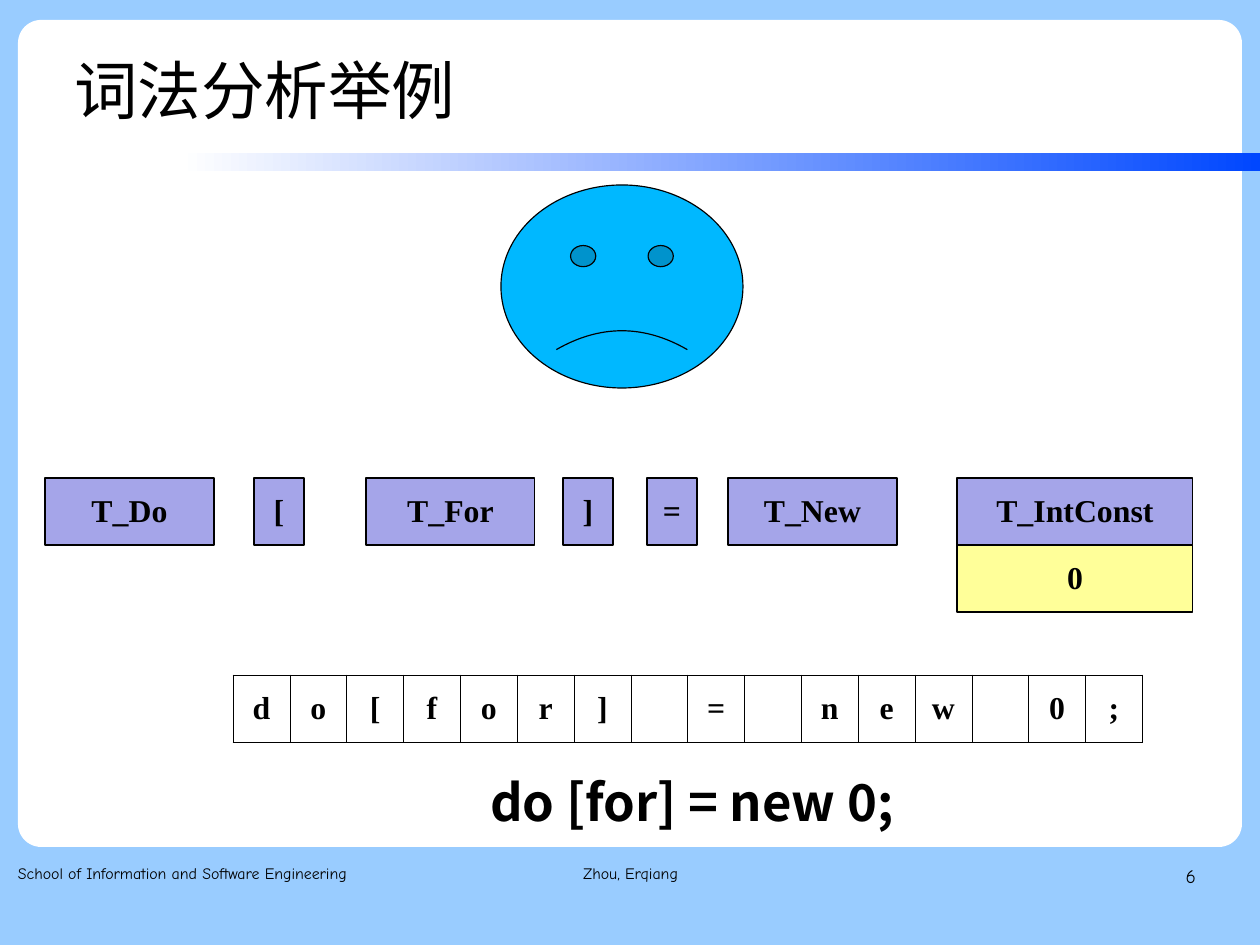
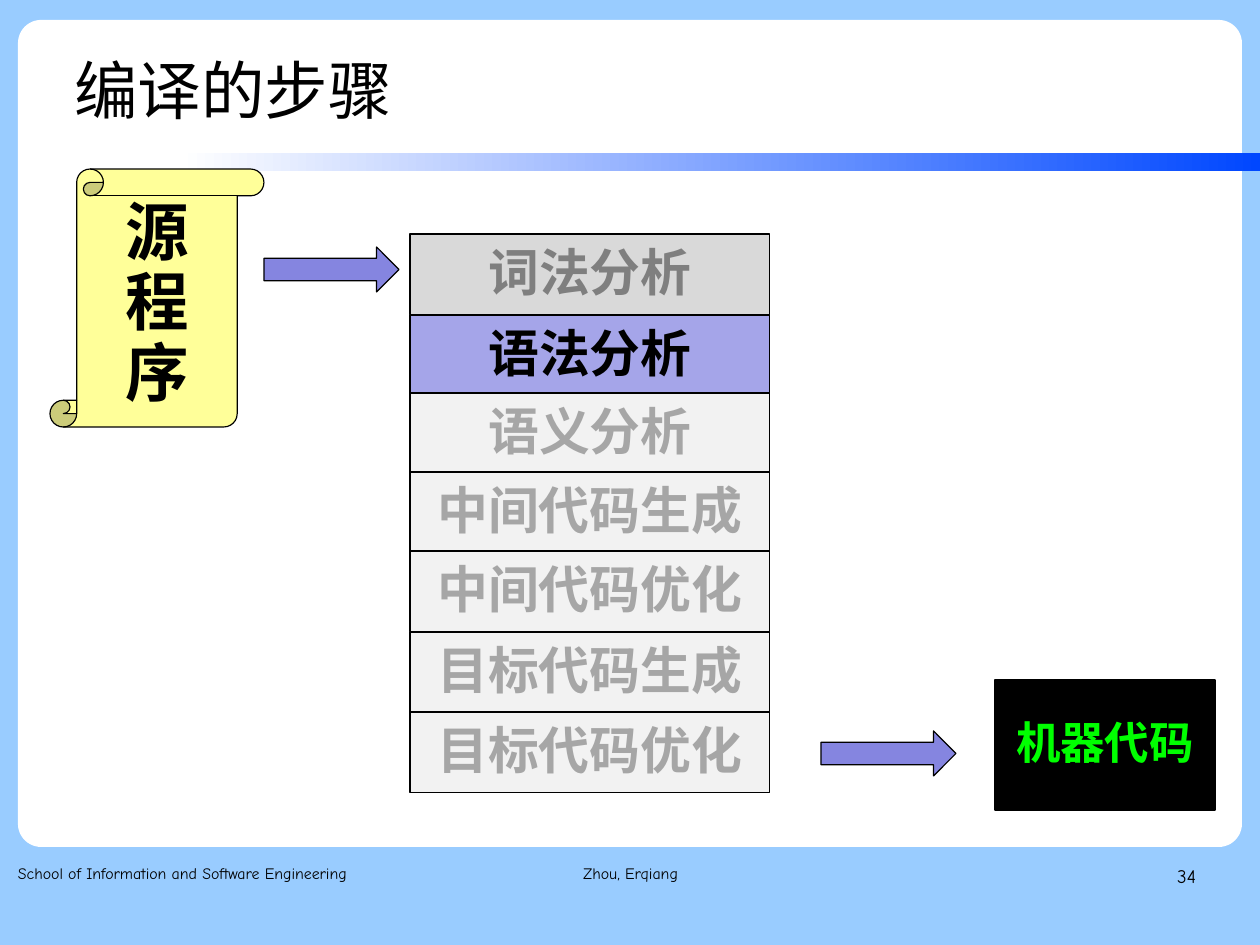
from lxml import etree
from pptx import Presentation, util as u
from pptx.dml.color import RGBColor
from pptx.enum import shapes, text
from pptx.oxml.ns import qn

PX = 8000  # EMU in one px
W, H = 1260, 945
COLOURS = {
    "sky": "99CCFF", "white": "FFFFFF", "black": "000000", "band": "0047FF",
    "lilac": "A5A5E9", "arrow": "8585E0", "yellow": "FFFF99", "face": "00B8FF",
    "done": "D9D9D9", "done_text": "7F7F7F",
    "todo": "F2F2F2", "todo_text": "A6A6A6", "green": "00FF00",
}
CJK, SERIF, HAND = "Noto Sans CJK SC", "Times New Roman", "Comic Neue"
SHAPE, ALIGN, ANCHOR = shapes.MSO_SHAPE, text.PP_ALIGN, text.MSO_ANCHOR


def rgb(name):
    return RGBColor.from_string(COLOURS[name])


def px(*lengths):
    return [u.Emu(n * PX) for n in lengths]


# Text and shape helpers
def format_paragraph(p, size, font, colour="black", bold=False,
                     align=ALIGN.CENTER, spacing=0.93):
    p.alignment, p.line_spacing = align, spacing
    p.font.size, p.font.bold = u.Pt(size), bold
    p.font.color.rgb = rgb(colour)
    p.font.name = font
    def_rpr = p._p.get_or_add_pPr().find(qn("a:defRPr"))
    etree.SubElement(def_rpr, qn("a:ea")).set("typeface", font)


def write(tf, content, size, font, **style):
    tf.text = content
    for p in tf.paragraphs:
        format_paragraph(p, size, font, **style)


def add_shape(slide, kind, box, fill, line="black", adj=()):
    sp = slide.shapes.add_shape(kind, *px(*box))
    sp.shadow.inherit = False
    for i, value in enumerate(adj):
        sp.adjustments[i] = value
    sp.fill.solid()
    sp.fill.fore_color.rgb = rgb(fill)
    if line:
        sp.line.color.rgb = rgb(line)
        sp.line.width = u.Pt(0.75)
    else:
        sp.line.fill.background()
    return sp


def add_label(slide, box, content, fill, size=20, font=SERIF, colour="black",
              kind=SHAPE.RECTANGLE, adj=()):
    sp = add_shape(slide, kind, box, fill, adj=adj)
    tf = sp.text_frame
    tf.word_wrap, tf.vertical_anchor = True, ANCHOR.MIDDLE
    write(tf, content, size, font, colour=colour, bold=True)


def add_text(slide, box, content, size, font, inset=True, **style):
    tf = slide.shapes.add_textbox(*px(*box)).text_frame
    tf.word_wrap = True
    if not inset:
        tf.margin_left = tf.margin_right = tf.margin_top = tf.margin_bottom = 0
    write(tf, content, size, font, **style)


# Shared look: background, white panel and gradient band on the master
def dress_master(prs, slide):
    master = prs.slide_master
    master.background.fill.solid()
    master.background.fill.fore_color.rgb = rgb("sky")
    panel = add_shape(slide, SHAPE.ROUNDED_RECTANGLE, (18, 20, 1224, 827),
                      "white", None, adj=[0.028])
    band = add_shape(slide, SHAPE.RECTANGLE, (180, 153, 1080, 18), "white", None)
    band.fill.gradient()
    band.fill.gradient_angle = 0
    for stop, colour, position in zip(band.fill.gradient_stops,
                                      ("white", "band"), (0, 1)):
        stop.color.rgb, stop.position = rgb(colour), position
    for i, sp in enumerate((panel, band)):
        sp.element.nvSpPr.cNvPr.set("id", str(100 + i))
        master.shapes.element.insert(2 + i, sp.element)


def new_slide(prs, title, number):
    slide = prs.slides.add_slide(prs.slide_layouts[5])
    sp = slide.shapes.title
    sp.left, sp.top, sp.width, sp.height = px(63, 38, 981, 115)
    tf = sp.text_frame
    tf.auto_size, tf.vertical_anchor = text.MSO_AUTO_SIZE.NONE, ANCHOR.TOP
    write(tf, title, 40, CJK, align=ALIGN.LEFT, spacing=1.1)
    footers = [
        (18, 386, "School of Information and Software Engineering", 10, ALIGN.LEFT),
        (431, 399, "Zhou, Erqiang", 10, ALIGN.CENTER),
        (903, 293, str(number), 12, ALIGN.RIGHT),
    ]
    for x, w, content, size, align in footers:
        add_text(slide, (x, 861, w, 65), content, size, HAND, inset=False,
                 align=align, spacing=1.16)
    return slide


# Row of tokens, the last one with its value below
def add_tokens(slide, x, y, h):
    tokens = [(0, 169, "T_Do"), (209, 50, "["), (321, 169, "T_For"),
              (518, 50, "]"), (602, 50, "="), (683, 169, "T_New"),
              (912, 236, "T_IntConst")]
    for dx, w, name in tokens:
        add_label(slide, (x + dx, y, w, h), name, "lilac")
    add_label(slide, (x + dx, y + h, w, h), "0", "yellow")


# One cell for each character of the source line
def add_characters(slide, box, characters):
    count = len(characters)
    table = slide.shapes.add_table(1, count, *px(*box)).table
    table.first_row = table.horz_banding = False
    for i, char in enumerate(characters):
        table.columns[i].width = u.Emu(box[2] * PX // count)
        cell = table.cell(0, i)
        cell.vertical_anchor = ANCHOR.MIDDLE
        tc_pr = cell._tc.get_or_add_tcPr()
        for side in ("lnL", "lnR", "lnT", "lnB"):
            ln = etree.SubElement(tc_pr, qn("a:" + side), w=str(u.Pt(0.45)))
            fill = etree.SubElement(ln, qn("a:solidFill"))
            etree.SubElement(fill, qn("a:srgbClr"), val=COLOURS["black"])
        cell.fill.solid()
        cell.fill.fore_color.rgb = rgb("white")
        if char != " ":
            write(cell.text_frame, char, 20, SERIF, bold=True, spacing=1.0)


# Stack of compiler steps
def add_steps(slide, x, y, w, h):
    todo = ("todo", "todo_text")
    steps = [(0, "词法分析", "done", "done_text"), (81, "语法分析", "lilac", "black"),
             (159, "语义分析", *todo), (238, "中间代码生成", *todo),
             (317, "中间代码优化", *todo), (398, "目标代码生成", *todo),
             (478, "目标代码优化", *todo)]
    for dy, name, fill, colour in steps:
        add_label(slide, (x, y + dy, w, h), name, fill, 32, CJK, colour)


def build_lexing(slide):
    add_text(slide, (479, 771, 520, 69), "do [for] = new 0;", 32, CJK,
             bold=True, align=ALIGN.LEFT)
    add_characters(slide, (233, 675, 910, 67), "do[for] = new 0;")
    add_tokens(slide, 45, 478, 67)
    add_shape(slide, SHAPE.SMILEY_FACE, (501, 185, 242, 203), "face", adj=[-0.047])


def build_steps(slide):
    add_steps(slide, 410, 234, 360, 81)
    add_label(slide, (50, 169, 214, 258), "源\n程\n序", "yellow", 40, CJK,
              kind=SHAPE.VERTICAL_SCROLL, adj=[0.125])
    for x, y in ((264, 247), (821, 731)):
        add_shape(slide, SHAPE.RIGHT_ARROW, (x, y, 135, 45), "arrow", adj=[0.5, 0.498])
    add_label(slide, (995, 680, 220, 130), "机器代码", "black", 28, CJK, "green")


def main():
    prs = Presentation()
    prs.slide_width, prs.slide_height = px(W, H)
    lexing = new_slide(prs, "词法分析举例", 6)
    dress_master(prs, lexing)
    build_lexing(lexing)
    build_steps(new_slide(prs, "编译的步骤", 34))
    prs.save("out.pptx")


if __name__ == "__main__":
    main()
